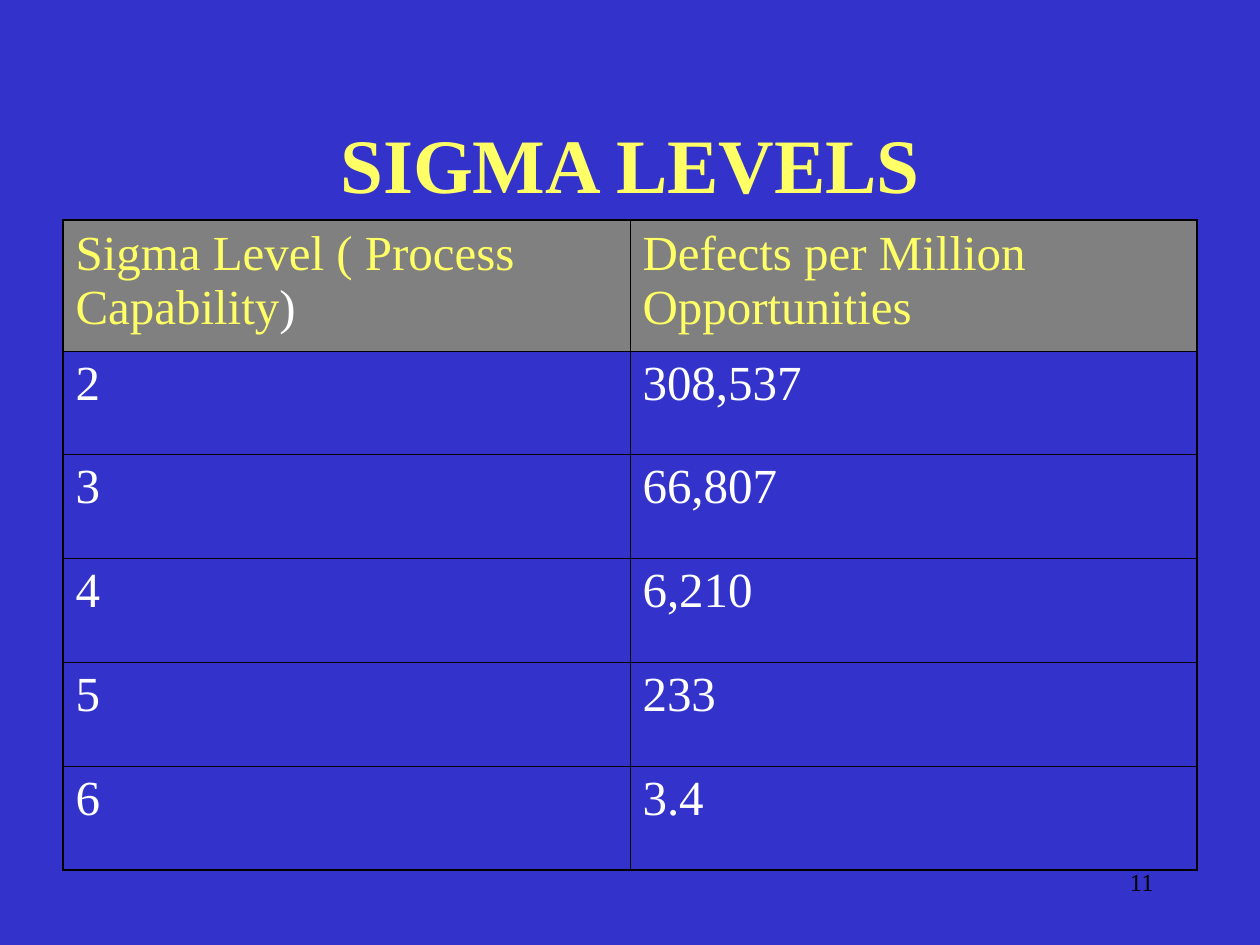
"""Build the sigma levels slide: a title, a two-column table and a page number."""
from lxml import etree
from pptx import Presentation
from pptx import util as u
from pptx.dml.color import RGBColor
from pptx.enum import text
from pptx.oxml.ns import qn

PX = u.Inches(1) // 126
COLORS = {"background": "3333CC", "heading": "FFFF66", "body": "FFFFFF",
          "header_fill": "808080", "line": "000000"}
NO_STYLE = "{2D5ABB26-0587-4C30-8999-92F81FD0307C}"
OUTER, INNER = u.Pt(1.08), u.Pt(0.45)


def write(frame, words, size=28, color="body", bold=False,
          align=text.PP_ALIGN.LEFT, before=0):
    paragraph = frame.paragraphs[0]
    paragraph.alignment = align
    paragraph.space_before = u.Pt(before)
    run = paragraph.add_run()
    run.text = words
    run.font.name = "Times New Roman"
    run.font.size = u.Pt(size)
    run.font.bold = bold
    run.font.color.rgb = RGBColor.from_string(COLORS[color])


def add_border(cell, side, width, position):
    line = etree.Element(qn(f"a:ln{side}"), w=str(width))
    fill = etree.SubElement(line, qn("a:solidFill"))
    etree.SubElement(fill, qn("a:srgbClr"), val=COLORS["line"])
    cell._tc.get_or_add_tcPr().insert(position, line)


deck = Presentation()
deck.slide_width, deck.slide_height = 1260 * PX, 945 * PX
slide = deck.slides.add_slide(deck.slide_layouts[6])
slide.background.fill.solid()
slide.background.fill.fore_color.rgb = RGBColor.from_string(COLORS["background"])

page_number = slide.shapes.add_textbox(904 * PX, 861 * PX, 262 * PX, 63 * PX).text_frame
page_number.word_wrap = True
write(page_number, "11", size=14, color="line", align=text.PP_ALIGN.RIGHT)

title = slide.shapes.add_textbox(95 * PX, 84 * PX, 1071 * PX, 158 * PX).text_frame
title.word_wrap = True
title.vertical_anchor = text.MSO_ANCHOR.MIDDLE
write(title, "SIGMA LEVELS", size=44, color="heading", bold=True,
      align=text.PP_ALIGN.CENTER)

levels = [
    ("Sigma Level ( Process Capability", "Defects per Million Opportunities"),
    ("2", "308,537"),
    ("3", "66,807"),
    ("4", "6,210"),
    ("5", "233"),
    ("6", "3.4"),
]
heights = [131, 103] + [104] * 4
last = len(levels) - 1

sigma = slide.shapes.add_table(len(levels), 2, 63 * PX, 220 * PX,
                               1134 * PX, sum(heights) * PX).table
sigma.first_row = sigma.horz_banding = False
sigma._tbl.tblPr.find(qn("a:tableStyleId")).text = NO_STYLE

for column in sigma.columns:
    column.width = 567 * PX

for r, (height, level) in enumerate(zip(heights, levels)):
    sigma.rows[r].height = height * PX
    for c, words in enumerate(level):
        cell = sigma.cell(r, c)
        write(cell.text_frame, words, color="body" if r else "heading", before=7)
        if r:
            cell.fill.background()
        else:
            cell.fill.solid()
            cell.fill.fore_color.rgb = RGBColor.from_string(COLORS["header_fill"])
        on_edge = {"L": c == 0, "R": c == 1, "T": r == 0, "B": r == last}
        for position, (side, outer) in enumerate(on_edge.items()):
            add_border(cell, side, OUTER if outer else INNER, position)

write(sigma.cell(0, 0).text_frame, ")", before=7)

deck.save("out.pptx")
